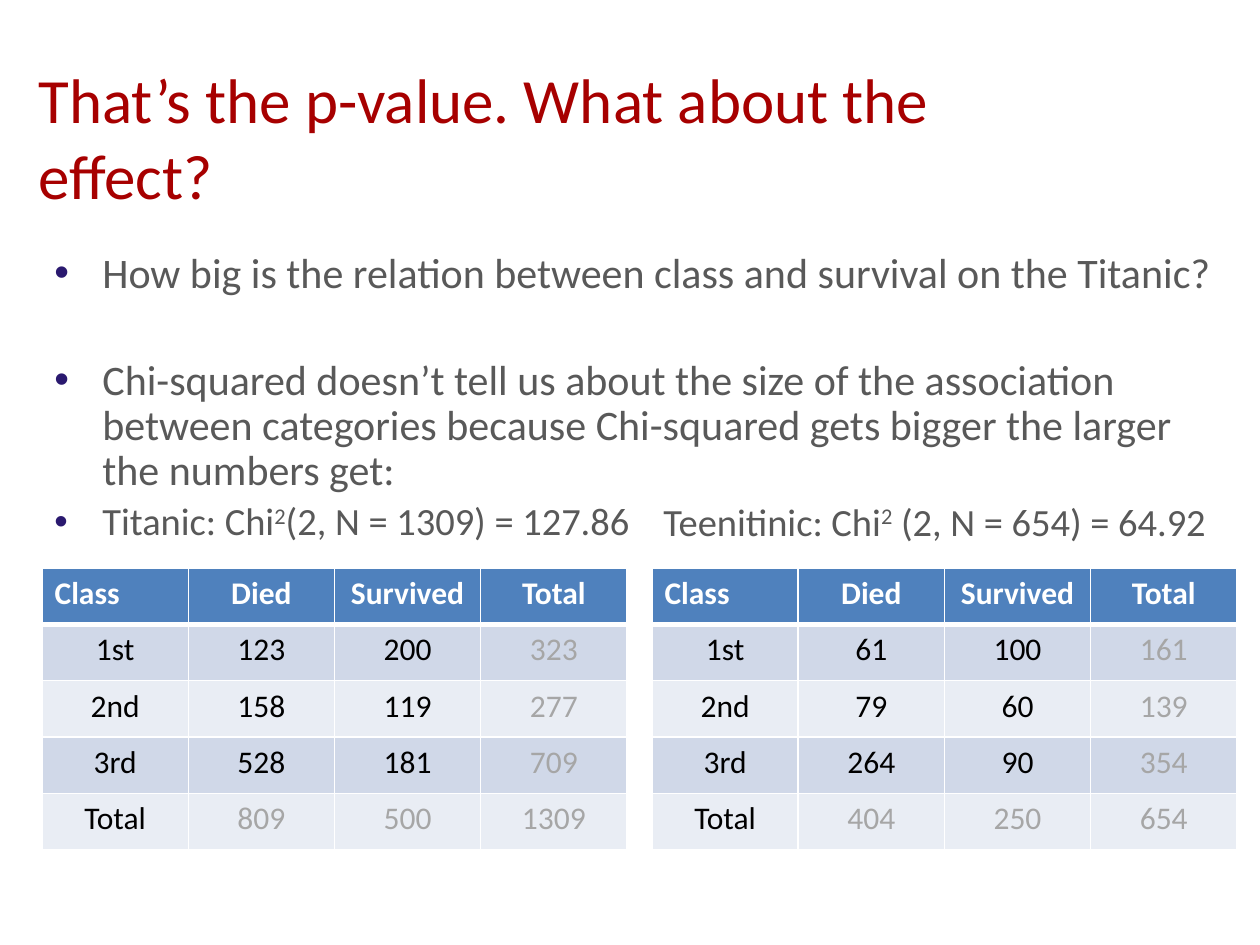
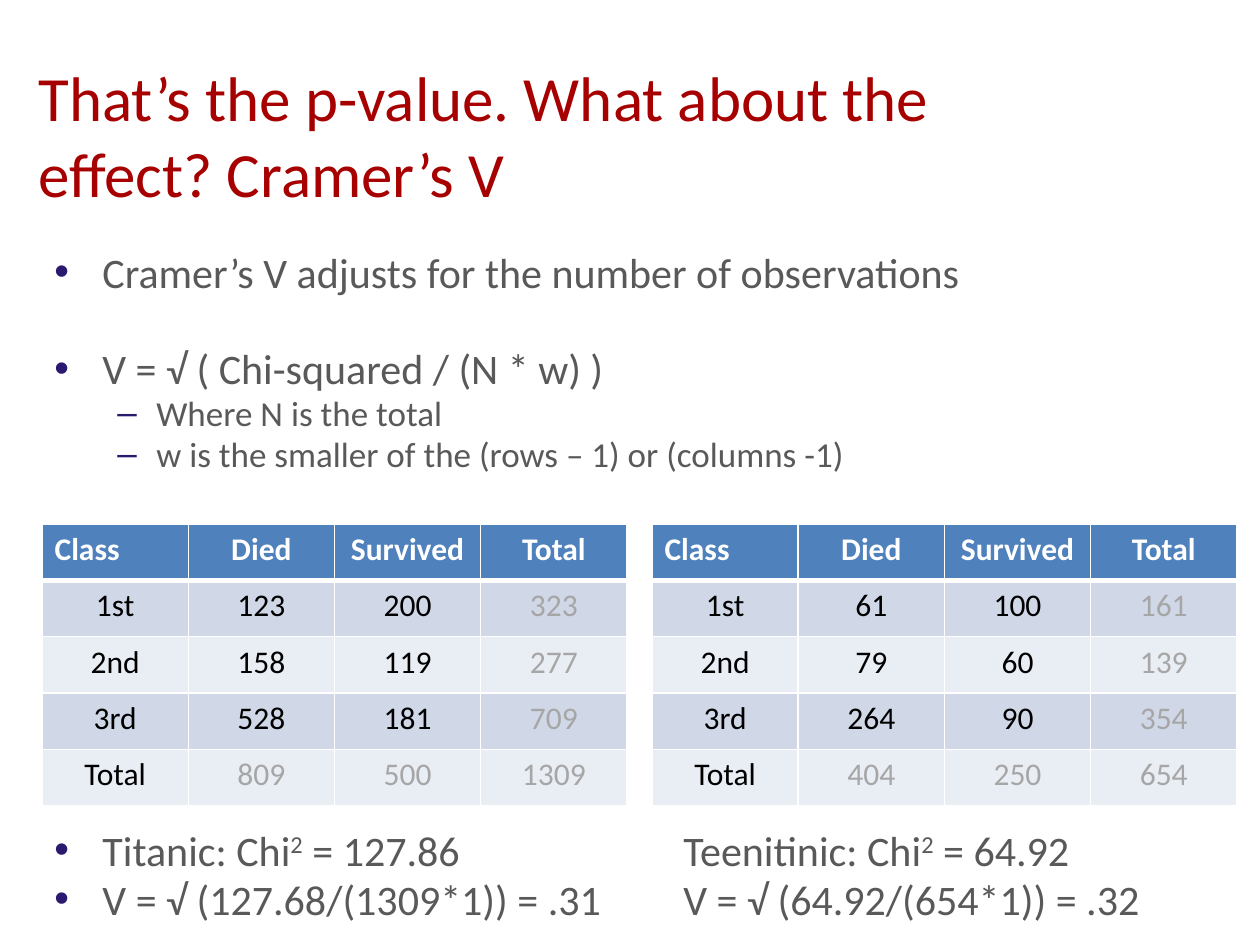
from lxml.etree import SubElement
from pptx import Presentation
from pptx.dml.color import RGBColor
from pptx.enum.text import MSO_ANCHOR, MSO_AUTO_SIZE, PP_ALIGN
from pptx.oxml.ns import qn
from pptx.util import Pt

EMU_PER_PX = 914400 / 126
FONT = "Calibri"
COLORS = {
    "title": "A70000", "body": "595959", "bullet": "2A196F", "header": "4F81BD",
    "odd": "D0D8E8", "even": "E9EDF4", "white": "FFFFFF", "black": "000000",
    "total": "A6A6A6",
}
BULLETS = {"•": (48, 48), "–": (102, 39), "": (0, 0)}

HEADINGS = ["Class", "Died", "Survived", "Total"]
CLASSES = ["1st", "2nd", "3rd"]
TITANIC = [(123, 200), (158, 119), (528, 181)]
TEENITINIC = [(61, 100), (79, 60), (264, 90)]
TABLE_LEFTS = [(42, TITANIC), (652, TEENITINIC)]
TABLE_SIZE = (585, 282)

# Each line holds bullet, size, space before and text; ^ encloses a superscript.
SLIDES = [
    {
        "title": ["That’s the p-value. What about the", "effect?"],
        "title_top": 50, "table_top": 568, "spacing": 0.9,
        "boxes": [
            ((42, 246, 1187, 310), [
                ("•", 24, 0, "How big is the relation between class and survival on the Titanic?"),
                ("•", 24, 35, "Chi-squared doesn’t tell us about the size of the association between "
                              "categories because Chi-squared gets bigger the larger the numbers get:"),
                ("•", 22, 4.4, "Titanic: Chi^2^(2, N = 1309) = 127.86"),
            ]),
            ((651, 497, 586, 60), [("", 22, 0, "Teenitinic: Chi^2^ (2, N = 654) = 64.92")]),
        ],
    },
    {
        "title": ["That’s the p-value. What about the", "effect? Cramer’s V"],
        "title_top": 48, "table_top": 524, "spacing": 0.8,
        "boxes": [
            ((42, 250, 1187, 240), [
                ("•", 24, 0, "Cramer’s V adjusts for the number of observations"),
                ("•", 24, 32, "V = √ ( Chi-squared / (N * w) )"),
                ("–", 20, 4, "Where N is the total"),
                ("–", 20, 4, "w is the smaller of the (rows – 1) or (columns -1)"),
            ]),
            ((42, 828, 600, 104), [
                ("•", 24, 0, "Titanic: Chi^2^ = 127.86"),
                ("•", 24, 4.8, "V = √ (127.68/(1309*1)) = .31"),
            ]),
            ((671, 828, 586, 104), [
                ("", 24, 0, "Teenitinic: Chi^2^ = 64.92"),
                ("", 24, 4.8, "V = √ (64.92/(654*1)) = .32"),
            ]),
        ],
    },
]


def px(length):
    return round(length * EMU_PER_PX)


def rgb(name):
    return RGBColor.from_string(COLORS[name])


def add_span(para, text, size, color, bold=False, raised=False):
    span = para.add_run()
    span.text = text
    span.font.name, span.font.size, span.font.bold = FONT, Pt(size), bold
    span.font.color.rgb = rgb(color)
    if raised:
        span._r.get_or_add_rPr().set("baseline", "30000")


def set_bullet(para, mark):
    left, hang = BULLETS[mark]
    props = para._p.get_or_add_pPr()
    props.set("marL", str(px(left)))
    props.set("indent", str(-px(hang)))
    if not mark:
        SubElement(props, qn("a:buNone"))
        return
    SubElement(SubElement(props, qn("a:buClr")), qn("a:srgbClr"), val=COLORS["bullet"])
    SubElement(props, qn("a:buFont"), typeface="Arial")
    SubElement(props, qn("a:buChar"), char=mark)


def set_title(page, lines, top):
    title = page.shapes.title
    title.left, title.top, title.width, title.height = map(px, (26, top, 1112, 173))
    frame = title.text_frame
    frame.word_wrap, frame.auto_size = True, MSO_AUTO_SIZE.NONE
    frame.vertical_anchor = MSO_ANCHOR.MIDDLE
    para = frame.paragraphs[0]
    para.alignment = PP_ALIGN.LEFT
    for number, line in enumerate(lines):
        if number:
            para.add_line_break()
        add_span(para, line, 36, "title")


def add_text(page, bounds, lines, spacing):
    frame = page.shapes.add_textbox(*map(px, bounds)).text_frame
    frame.word_wrap = True
    for number, (mark, size, before, text) in enumerate(lines):
        para = frame.add_paragraph() if number else frame.paragraphs[0]
        para.line_spacing, para.space_before = spacing, Pt(before)
        set_bullet(para, mark)
        for part, piece in enumerate(text.split("^")):
            add_span(para, piece, size, "body", raised=part % 2 == 1)


def set_borders(cell, row):
    thick = {0: "lnB", 1: "lnT"}.get(row)
    for side in ("lnL", "lnR", "lnT", "lnB"):
        width = Pt(3 if side == thick else 1)
        line = SubElement(cell._tc.get_or_add_tcPr(), qn(f"a:{side}"), w=str(width))
        SubElement(SubElement(line, qn("a:solidFill")), qn("a:srgbClr"), val=COLORS["white"])


def with_totals(counts):
    sums = [sum(column) for column in zip(*counts)]
    rows = zip(CLASSES + ["Total"], counts + [sums])
    return [HEADINGS] + [[label, *pair, sum(pair)] for label, pair in rows]


def add_counts(page, left, top, counts):
    rows = with_totals(counts)
    bounds = map(px, (left, top, *TABLE_SIZE))
    table = page.shapes.add_table(len(rows), len(HEADINGS), *bounds).table
    for r, row in enumerate(rows):
        for c, value in enumerate(row):
            cell = table.cell(r, c)
            set_borders(cell, r)
            cell.fill.solid()
            cell.fill.fore_color.rgb = rgb("header" if r == 0 else "odd" if r % 2 else "even")
            is_total = c > 0 and (r == len(rows) - 1 or c == len(row) - 1)
            color = "white" if r == 0 else "total" if is_total else "black"
            para = cell.text_frame.paragraphs[0]
            para.alignment = PP_ALIGN.LEFT if r == c == 0 else PP_ALIGN.CENTER
            add_span(para, str(value), 18, color, bold=r == 0)


def main():
    """Build the two slides on effect size and save the deck."""
    deck = Presentation()
    deck.slide_width, deck.slide_height = px(1260), px(945)
    for content in SLIDES:
        page = deck.slides.add_slide(deck.slide_layouts[5])
        set_title(page, content["title"], content["title_top"])
        for left, counts in TABLE_LEFTS:
            add_counts(page, left, content["table_top"], counts)
        for bounds, lines in content["boxes"]:
            add_text(page, bounds, lines, content["spacing"])
    deck.save("out.pptx")


if __name__ == "__main__":
    main()
